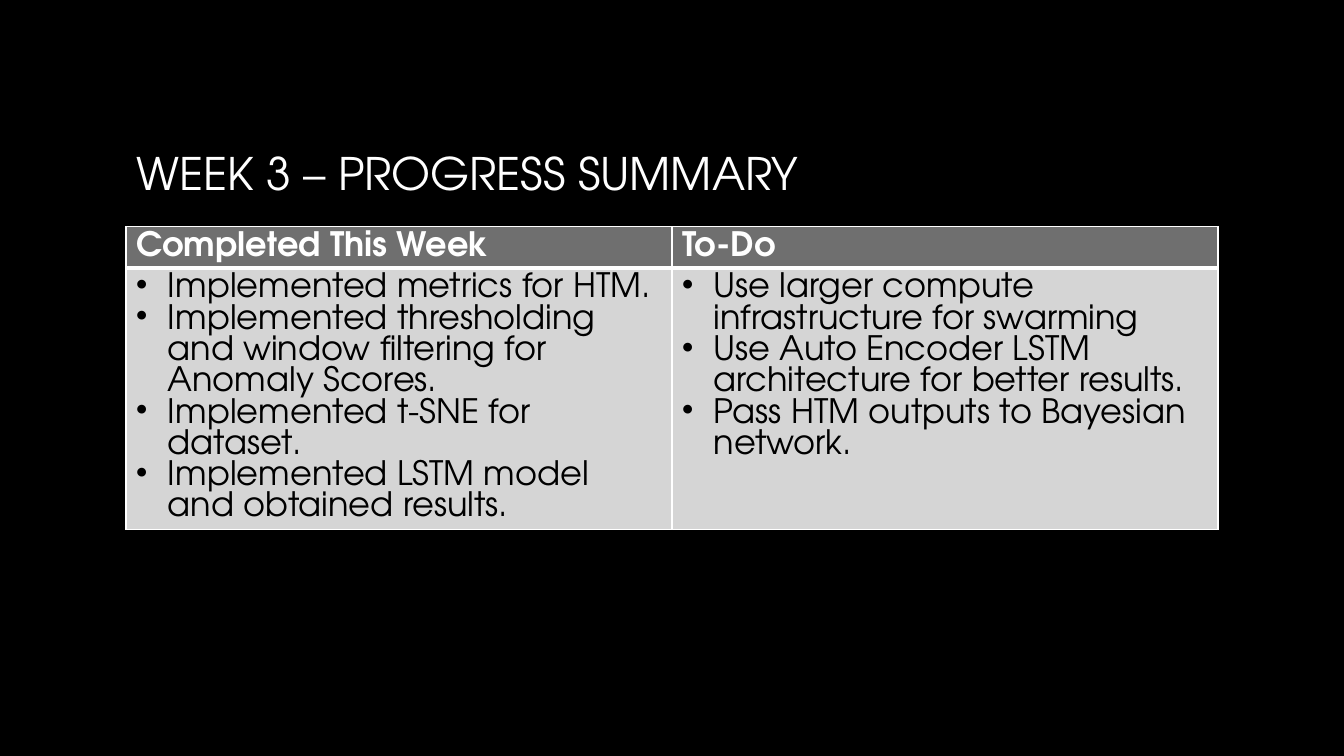
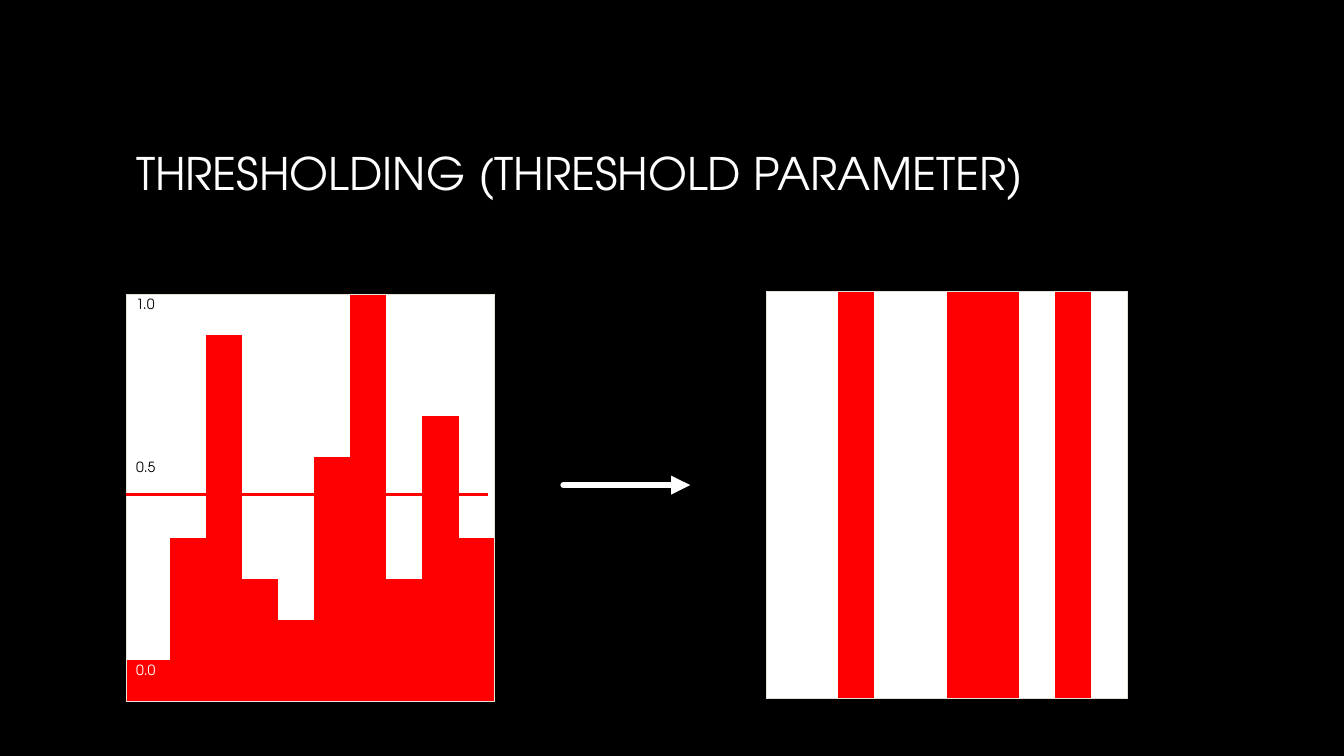
from lxml import etree
from pptx import Presentation
from pptx.dml.color import RGBColor
from pptx.enum.shapes import MSO_CONNECTOR
from pptx.enum.text import MSO_ANCHOR, MSO_AUTO_SIZE, PP_ALIGN
from pptx.oxml.ns import qn
from pptx.util import Pt

STRAIGHT = MSO_CONNECTOR.STRAIGHT
MIDDLE = MSO_ANCHOR.MIDDLE
NO_AUTOFIT = MSO_AUTO_SIZE.NONE
LEFT_ALIGN = PP_ALIGN.LEFT

BLACK = RGBColor(0x00, 0x00, 0x00)
WHITE = RGBColor(0xFF, 0xFF, 0xFF)
RED = RGBColor(0xFF, 0x00, 0x00)
HEADER_GREY = RGBColor(0x6F, 0x6F, 0x6F)
BODY_GREY = RGBColor(0xD5, 0xD5, 0xD5)
FRAME_GREY = RGBColor(0xE2, 0xE2, 0xD8)
FONT = "TeX Gyre Adventor"

PROGRESS_TITLE = "WEEK 3 – PROGRESS SUMMARY"
PROGRESS = {
    "Completed This Week": [
        "Implemented metrics for HTM.",
        "Implemented thresholding and window filtering for Anomaly Scores.",
        "Implemented t-SNE for dataset.",
        "Implemented LSTM model and obtained results.",
    ],
    "To-Do": [
        "Use larger compute infrastructure for swarming",
        "Use Auto Encoder LSTM architecture for better results.",
        "Pass HTM outputs to Bayesian network.",
    ],
}

THRESHOLD_TITLE = "THRESHOLDING (THRESHOLD PARAMETER)"
SCORES = [1, 4, 9, 3, 2, 6, 10, 3, 7, 4]
THRESHOLD = 5
LEVELS = 10
SCALE_LABELS = {0: ("1.0", BLACK), 4: ("0.5", BLACK), 9: ("0.0", WHITE)}

LEFT = 90
CONTENT_WIDTH = 780
LABEL_COLUMN = 31.2
SCORE_COLUMN = 25.8
LEVEL_HEIGHT = 29.1
BULLET_INDENT = Pt(22.5)


def style(paragraph, size, color, bold=False):
    font = paragraph.font
    font.name, font.size, font.bold = FONT, Pt(size), bold
    font.color.rgb = color


def add_titled_slide(prs, text):
    slide = prs.slides.add_slide(prs.slide_layouts[5])
    title = slide.shapes.title
    title.left, title.top = Pt(LEFT), Pt(48)
    title.width, title.height = Pt(CONTENT_WIDTH), Pt(150)
    frame = title.text_frame
    frame.text = text
    frame.auto_size = NO_AUTOFIT
    frame.vertical_anchor = MIDDLE
    frame.paragraphs[0].alignment = LEFT_ALIGN
    style(frame.paragraphs[0], 32, WHITE)
    return slide


def set_borders(cell, color, left, right, top, bottom):
    properties = cell._tc.get_or_add_tcPr()
    sides = zip(("a:lnL", "a:lnR", "a:lnT", "a:lnB"), (left, right, top, bottom))
    for position, (tag, width) in enumerate(sides):
        line = etree.Element(qn(tag), w=str(Pt(width)))
        if width:
            fill = etree.SubElement(line, qn("a:solidFill"))
            etree.SubElement(fill, qn("a:srgbClr"), val=str(color))
        else:
            etree.SubElement(line, qn("a:noFill"))
        properties.insert(position, line)


def fill_cell(cell, color):
    cell.fill.solid()
    cell.fill.fore_color.rgb = color


def add_plain_table(slide, left, top, widths, heights):
    table = slide.shapes.add_table(
        len(heights), len(widths), Pt(left), Pt(top), Pt(sum(widths)), Pt(sum(heights))
    ).table
    table.first_row = table.horz_banding = False
    for column, width in zip(table.columns, widths):
        column.width = Pt(width)
    for row, height in zip(table.rows, heights):
        row.height = Pt(height)
    return table


def add_bullet(paragraph):
    properties = paragraph._p.get_or_add_pPr()
    properties.set("marL", str(BULLET_INDENT))
    properties.set("indent", str(-BULLET_INDENT))
    bullet = etree.Element(qn("a:buChar"), char="•")
    properties.insert(0, bullet)


def add_progress_table(slide):
    widths = [CONTENT_WIDTH / len(PROGRESS)] * len(PROGRESS)
    table = add_plain_table(slide, LEFT, 162, widths, [29.5, 186.5])
    for column, (heading, tasks) in enumerate(PROGRESS.items()):
        header, body = table.cell(0, column), table.cell(1, column)
        fill_cell(header, HEADER_GREY)
        fill_cell(body, BODY_GREY)
        set_borders(header, WHITE, 1, 1, 1, 3)
        set_borders(body, WHITE, 1, 1, 3, 1)
        header.text = heading
        style(header.text_frame.paragraphs[0], 24, WHITE, bold=True)
        body.text = "\n".join(tasks)
        for paragraph in body.text_frame.paragraphs:
            style(paragraph, 24, BLACK)
            add_bullet(paragraph)


def add_score_grid(slide, left, top, widths, bars, labels):
    table = add_plain_table(slide, left, top, widths, [LEVEL_HEIGHT] * LEVELS)
    last_column, last_row = len(bars) - 1, LEVELS - 1
    for column, bar in enumerate(bars):
        for row in range(LEVELS):
            cell = table.cell(row, column)
            fill_cell(cell, RED if row >= LEVELS - bar else WHITE)
            edges = (column == 0, column == last_column, row == 0, row == last_row)
            set_borders(cell, FRAME_GREY, *(0.75 * edge for edge in edges))
            if column == 0 and row in labels:
                text, color = labels[row]
                cell.text = text
                style(cell.text_frame.paragraphs[0], 10, color)
            else:
                cell.margin_top = cell.margin_bottom = 0
                style(cell.text_frame.paragraphs[0], 10, BLACK)


def add_level_line(slide, start, end, y, color, width):
    connector = slide.shapes.add_connector(STRAIGHT, Pt(start), Pt(y), Pt(end), Pt(y))
    connector.line.color.rgb = color
    connector.line.width = Pt(width)
    etree.SubElement(connector._element.spPr, qn("a:effectLst"))
    return connector


def main():
    prs = Presentation()
    prs.slide_width, prs.slide_height = Pt(960), Pt(540)
    background = prs.slide_master.background.fill
    background.solid()
    background.fore_color.rgb = BLACK

    add_progress_table(add_titled_slide(prs, PROGRESS_TITLE))

    thresholding = add_titled_slide(prs, THRESHOLD_TITLE)
    score_columns = [SCORE_COLUMN] * len(SCORES)
    add_score_grid(
        thresholding, LEFT, 210, [LABEL_COLUMN] + score_columns[1:], SCORES, SCALE_LABELS
    )
    add_level_line(thresholding, LEFT, 348.5, 353.2, RED, 2.25)
    arrow = add_level_line(thresholding, 402.5, 493, 346.5, WHITE, 4.5)
    arrow_line = arrow.line._get_or_add_ln()
    arrow_line.set("cap", "rnd")
    etree.SubElement(arrow_line, qn("a:tailEnd"), type="triangle")
    passed = [LEVELS if score > THRESHOLD else 0 for score in SCORES]
    add_score_grid(thresholding, 547.2, 208, score_columns, passed, {})

    prs.save("out.pptx")


if __name__ == "__main__":
    main()
